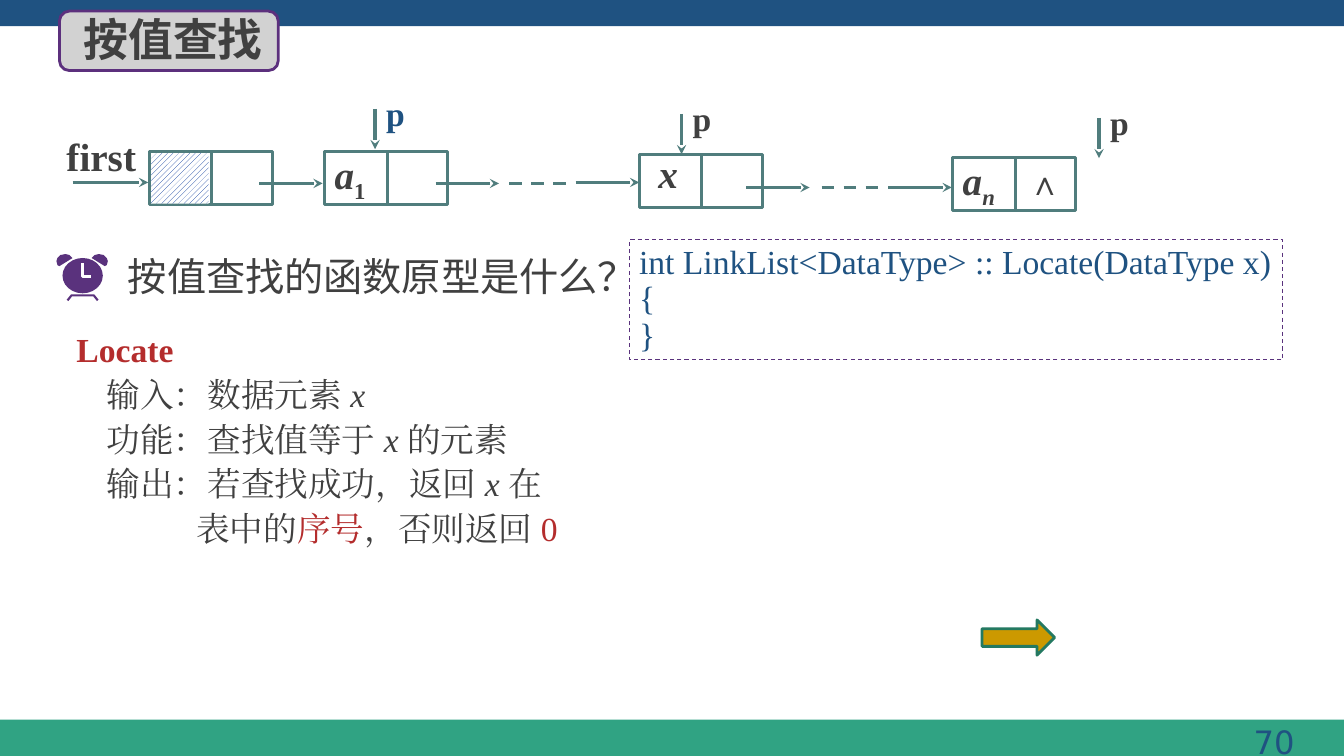
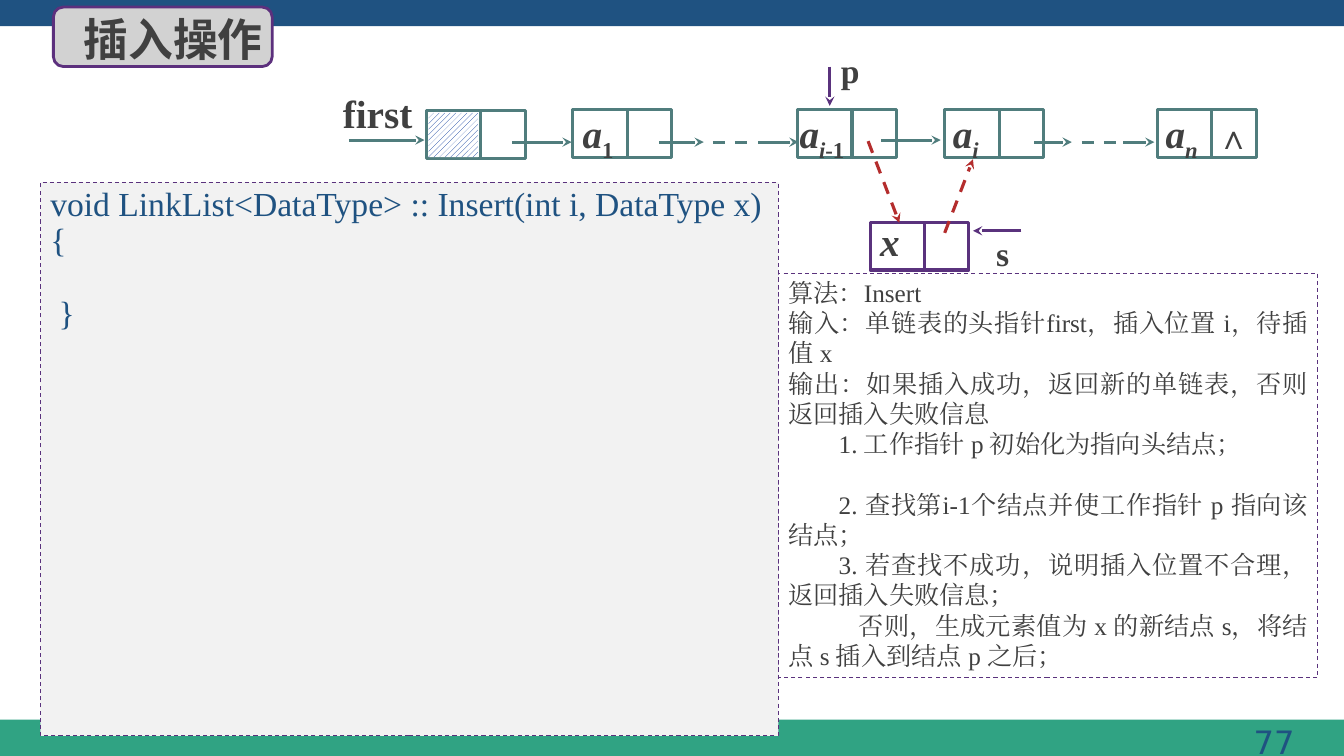
"""Build two slides on searching and inserting in a singly linked list."""
from dataclasses import dataclass
from typing import Optional, Sequence

from lxml import etree
from pptx import Presentation
from pptx import util as u
from pptx.dml import color as dml_color
from pptx.enum import dml, shapes, text
from pptx.oxml import ns

Inches, Pt = u.Inches, u.Pt
Kind = shapes.MSO_SHAPE


@dataclass(frozen=True)
class Theme:
    band: str = "1F5281"
    footer: str = "30A383"
    ink: str = "404040"
    teal: str = "507D7D"
    purple: str = "5A327D"
    red: str = "B42D2D"
    badge: str = "D2D2D2"
    badge_line: str = "5C307D"
    panel: str = "F2F2F2"
    hatch: str = "003399"
    white: str = "FFFFFF"
    gold: str = "CC9900"
    gold_line: str = "247961"
    serif: str = "Times New Roman"
    sans: str = "Noto Sans CJK SC"
    number_font: str = "DejaVu Sans"
    title_size: float = 32
    label_size: float = 28
    body_size: float = 24
    number_size: float = 23
    note_size: float = 18
    stroke: float = 2.25


THEME = Theme()


@dataclass(frozen=True)
class Span:
    words: str
    size: float = THEME.body_size
    color: str = THEME.ink
    bold: bool = False
    italic: bool = False
    font: str = THEME.serif
    lowered: bool = False


@dataclass(frozen=True)
class Para:
    spans: Sequence[Span]
    indent: float = 0
    align: Optional[text.PP_ALIGN] = None
    leading: Optional[object] = None
    before: float = 0
    after: float = 0


@dataclass(frozen=True)
class NodeSize:
    width: float
    height: float
    split: float


@dataclass(frozen=True)
class Node:
    left: float
    top: float
    label: Sequence[Span] = ()
    inset: float = 0.1
    color: str = THEME.teal
    hatched: bool = False


@dataclass(frozen=True)
class Link:
    start: tuple[float, float]
    end: tuple[float, float]
    color: str = THEME.teal
    dashed: bool = False
    arrow: bool = True


@dataclass(frozen=True)
class Pointer:
    name: str
    left: float
    top: float
    color: str = THEME.ink


WIDE = NodeSize(1.22, 0.53, 0.62)
COMPACT = NodeSize(0.98, 0.47, 0.54)
JUSTIFY = text.PP_ALIGN.JUSTIFY


def rgb(value: str) -> dml_color.RGBColor:
    return dml_color.RGBColor.from_string(value)


def fill_text(box, paras: Sequence[Para], inset=(0.1, 0.05, 0.1, 0.05)) -> None:
    frame = box.text_frame
    frame.word_wrap = True
    frame.vertical_anchor = text.MSO_ANCHOR.TOP
    frame.margin_left, frame.margin_top, frame.margin_right, frame.margin_bottom = map(Inches, inset)
    for index, item in enumerate(paras):
        para = frame.add_paragraph() if index else frame.paragraphs[0]
        para.alignment = item.align or text.PP_ALIGN.LEFT
        if item.indent:
            para._p.get_or_add_pPr().set("indent", str(Inches(item.indent)))
        if item.leading:
            para.line_spacing = item.leading
        if item.before:
            para.space_before = Pt(item.before)
        if item.after:
            para.space_after = Pt(item.after)
        for piece in item.spans:
            span = para.add_run()
            span.text = piece.words
            font = span.font
            font.size, font.bold, font.italic = Pt(piece.size), piece.bold, piece.italic
            font.color.rgb = rgb(piece.color)
            font.name = piece.font
            props = span._r.get_or_add_rPr()
            etree.SubElement(props, ns.qn("a:ea")).set("typeface", piece.font)
            if piece.lowered:
                props.set("baseline", "-25000")


def paint(shape, fill: Optional[str], line: Optional[str], width: float, dashed: bool = False):
    shape.shadow.inherit = False
    if fill:
        shape.fill.solid()
        shape.fill.fore_color.rgb = rgb(fill)
    else:
        shape.fill.background()
    if line:
        shape.line.color.rgb = rgb(line)
        shape.line.width = Pt(width)
        if dashed:
            shape.line.dash_style = dml.MSO_LINE.DASH
    else:
        shape.line.fill.background()
    return shape


def add_block(page, kind, at, fill=None, line=None, width=THEME.stroke, dashed=False):
    shape = page.shapes.add_shape(kind, *map(Inches, at))
    return paint(shape, fill, line, width, dashed)


def add_words(page, at, paras: Sequence[Para], inset=(0.1, 0.05, 0.1, 0.05)) -> None:
    fill_text(page.shapes.add_textbox(*map(Inches, at)), paras, inset)


def add_outline(page, points, fill=None, line=None, width=1.5) -> None:
    spots = [(Inches(x), Inches(y)) for x, y in points]
    builder = page.shapes.build_freeform(*spots[0])
    builder.add_line_segments(spots[1:], close=bool(fill))
    paint(builder.convert_to_shape(), fill, line, width)


def add_link(page, link: Link) -> None:
    line = page.shapes.add_connector(shapes.MSO_CONNECTOR.STRAIGHT, *map(Inches, link.start + link.end))
    line.line.color.rgb = rgb(link.color)
    line.line.width = Pt(THEME.stroke)
    if link.dashed:
        line.line.dash_style = dml.MSO_LINE.DASH
    if link.arrow:
        etree.SubElement(line.line._get_or_add_ln(), ns.qn("a:tailEnd")).set("type", "stealth")
    etree.SubElement(line._element.spPr, ns.qn("a:effectLst"))


def add_node(page, node: Node, size: NodeSize) -> None:
    box = add_block(page, Kind.RECTANGLE, (node.left, node.top, size.width, size.height), line=node.color)
    if node.label:
        fill_text(box, [Para(node.label, leading=0.9)], (node.inset, 0, 0, 0.08))
    middle = node.left + size.split
    add_link(page, Link((middle, node.top), (middle, node.top + size.height), node.color, arrow=False))
    if node.hatched:
        at = (node.left + 0.02, node.top + 0.02, size.split - 0.05, size.height - 0.03)
        hatch = add_block(page, Kind.RECTANGLE, at)
        hatch.fill.patterned()
        hatch.fill.pattern = dml.MSO_PATTERN.WIDE_UPWARD_DIAGONAL
        hatch.fill.fore_color.rgb = rgb(THEME.hatch)
        hatch.fill.back_color.rgb = rgb(THEME.white)


def add_pointer_name(page, pointer: Pointer) -> None:
    name = Span(pointer.name, color=pointer.color, bold=True)
    add_words(page, (pointer.left, pointer.top, 0.27, 0.4), [Para([name])], (0, 0, 0, 0))


def add_list(page, size: NodeSize, nodes, links, pointers, first_at, null_at) -> None:
    for node in nodes:
        add_node(page, node, size)
    for link in links:
        add_link(page, link)
    for pointer in pointers:
        add_pointer_name(page, pointer)
    first = Span("first", THEME.label_size, bold=True)
    add_words(page, (*first_at, 0.83, 0.51), [Para([first])], (0, 0, 0, 0.04))
    add_words(page, (*null_at, 0.53, 0.49), [Para([Span("∧", bold=True)])])


def add_clock(page) -> None:
    bell = [(0.59, 2.64), (0.72, 2.56), (0.69, 2.53), (0.65, 2.52),
            (0.6, 2.53), (0.57, 2.56), (0.56, 2.59), (0.57, 2.63)]
    add_outline(page, bell, THEME.purple)
    add_outline(page, [(1.63 - x, y) for x, y in bell], THEME.purple)
    add_block(page, Kind.OVAL, (0.62, 2.56, 0.4, 0.35), THEME.purple)
    add_outline(page, [(0.82, 2.61), (0.82, 2.74), (0.9, 2.74)], line=THEME.white, width=2)
    add_outline(page, [(0.67, 2.98), (0.71, 2.93), (0.93, 2.93), (0.97, 2.98)], line=THEME.purple)


def symbol(letter: str, *subs: Span) -> list[Span]:
    return [Span(letter, THEME.label_size, bold=True, italic=True), *subs]


def sub(words: str, italic: bool = True) -> Span:
    return Span(words, THEME.label_size, bold=True, italic=italic, lowered=True)


def code(lines: Sequence[str], align=None, last_gap: float = 0) -> list[Para]:
    return [Para([Span(line, color=THEME.band)], align=align, leading=Pt(26),
                 before=last_gap if line is lines[-1] else 0) for line in lines]


def start_page(deck, title: str, number: str, badge_at):
    page = deck.slides.add_slide(deck.slide_layouts[6])
    add_block(page, Kind.RECTANGLE, (0, 7.14, 13.33, 0.36), THEME.footer)
    add_block(page, Kind.RECTANGLE, (0, 0, 13.33, 0.26), THEME.band)
    digits = Span(number, THEME.number_size, THEME.band, font=THEME.number_font)
    add_words(page, (10.03, 7.11, 2.94, 0.52), [Para([digits], align=text.PP_ALIGN.RIGHT)],
              (0.13, 0.06, 0.13, 0.06))
    add_block(page, Kind.ROUNDED_RECTANGLE, (*badge_at, 2.17, 0.59), THEME.badge, THEME.badge_line, 2)
    heading = Span(title, THEME.title_size, bold=True, font=THEME.sans)
    add_words(page, (0.73, 0.07, 2.1, 0.64), [Para([heading])])
    return page


def build_search(deck) -> None:
    page = start_page(deck, "按值查找", "70", (0.59, 0.11))
    nodes = [Node(1.48, 1.5, hatched=True), Node(3.22, 1.5, symbol("a", sub("1", False))),
             Node(6.34, 1.53, symbol("x"), 0.19), Node(9.45, 1.56, symbol("a", sub("n")))]
    runs = [(0.72, 1.47, 1.81), (2.57, 3.2, 1.82), (4.32, 4.95, 1.82),
            (5.71, 6.34, 1.81), (7.4, 8.03, 1.86), (8.81, 9.44, 1.86)]
    gaps = [(5.05, 5.67, 1.82), (8.15, 8.77, 1.86)]
    pointers = [Pointer("p", 3.83, 0.92, THEME.band), Pointer("p", 6.87, 0.97), Pointer("p", 11.01, 1.01)]
    links = [Link((a, y), (b, y)) for a, b, y in runs]
    links += [Link((a, y), (b, y), dashed=True, arrow=False) for a, b, y in gaps]
    links += [Link((p.left - 0.11, p.top + 0.16), (p.left - 0.11, p.top + 0.56)) for p in pointers]
    add_list(page, WIDE, nodes, links, pointers, (0.66, 1.31), (10.1, 1.56))
    prototype = add_block(page, Kind.RECTANGLE, (6.24, 2.38, 6.48, 1.19), None, THEME.purple, 0.75, True)
    fill_text(prototype, code(["int LinkList<DataType> :: Locate(DataType x)", "{", "}"]),
              (0.1, 0.05, 0, 0.05))
    question = Span("按值查找的函数原型是什么？", THEME.label_size, font=THEME.sans)
    add_words(page, (1.17, 2.45, 5.98, 0.57), [Para([question])])
    add_clock(page)
    x = Span("x ", italic=True)
    rows = [(0.3, [Span("输入：数据元素 "), Span("x", italic=True)]),
            (0.3, [Span("功能：查找值等于 "), x, Span("的元素")]),
            (0.3, [Span("输出：若查找成功，返回 "), x, Span("在")]),
            (1.19, [Span("表中的"), Span("序号", color=THEME.red), Span("，否则返回 "),
                    Span("0", color=THEME.red)])]
    summary = [Para([Span("Locate", color=THEME.red, bold=True)], leading=Pt(32))]
    summary += [Para(spans, indent, JUSTIFY, Pt(32)) for indent, spans in rows]
    add_words(page, (0.66, 3.17, 5.44, 2.34), summary)
    add_block(page, Kind.RIGHT_ARROW, (9.74, 6.15, 0.72, 0.35), THEME.gold, THEME.gold_line, 2)


def build_insert(deck) -> None:
    page = start_page(deck, "插入操作", "77", (0.53, 0.07))
    rows = [("算法：Insert", 0, 0),
            ("输入：单链表的头指针first，插入位置 i，待插值 x", 0, 0),
            ("输出：如果插入成功，返回新的单链表，否则返回插入失败信息", 0, 0),
            ("1. 工作指针 p 初始化为指向头结点；", 0.5, 21.6),
            ("2. 查找第i-1个结点并使工作指针 p 指向该结点；", 0.5, 0),
            ("3. 若查找不成功，说明插入位置不合理，返回插入失败信息；", 0.5, 0),
            ("否则，生成元素值为 x 的新结点 s，将结点 s 插入到结点 p 之后；", 0.7, 0)]
    steps = add_block(page, Kind.RECTANGLE, (7.72, 2.71, 5.35, 4.01), None, THEME.purple, 0.75, True)
    fill_text(steps, [Para([Span(words, THEME.note_size)], indent, JUSTIFY, after=after)
                      for words, indent, after in rows], (0.1, 0.04, 0.1, 0.04))
    nodes = [Node(4.23, 1.1, hatched=True), Node(5.68, 1.09, symbol("a", sub("1", False))),
             Node(7.91, 1.09, symbol("a", sub("i"), sub("-1", False)), 0.02),
             Node(9.37, 1.09, symbol("a", sub("i")), 0.08),
             Node(11.48, 1.09, symbol("a", sub("n")), 0.08),
             Node(8.63, 2.21, symbol("x"), color=THEME.purple)]
    runs = [(3.46, 4.21, 1.39), (5.08, 5.67, 1.41), (6.54, 6.98, 1.41), (7.52, 7.92, 1.41),
            (8.74, 9.33, 1.39), (10.26, 10.63, 1.41), (11.14, 11.45, 1.41)]
    links = [Link((a, y), (b, y)) for a, b, y in runs]
    links += [Link((a, 1.41), (a + 0.35, 1.41), dashed=True, arrow=False) for a in (7.07, 10.73)]
    links += [Link((8.23, 0.66), (8.23, 1.05), THEME.purple),
              Link((10.13, 2.29), (9.65, 2.29), THEME.purple),
              Link((9.37, 2.31), (9.65, 1.58), THEME.red, dashed=True),
              Link((8.61, 1.4), (8.92, 2.21), THEME.red, dashed=True)]
    pointers = [Pointer("p", 8.34, 0.5), Pointer("s", 9.88, 2.31)]
    add_list(page, COMPACT, nodes, links, pointers, (3.4, 0.89), (11.97, 1.1))
    panel = add_block(page, Kind.RECTANGLE, (0.4, 1.81, 7.32, 5.49), THEME.panel, THEME.purple, 0.75, True)
    body = code(["void LinkList<DataType> :: Insert(int i, DataType x)", "{", " }"], JUSTIFY, 26)
    fill_text(panel, body, (0.1, 0.04, 0.1, 0.04))


def main() -> None:
    deck = Presentation()
    deck.slide_width, deck.slide_height = Inches(13.33), Inches(7.5)
    build_search(deck)
    build_insert(deck)
    deck.save("out.pptx")


if __name__ == "__main__":
    main()
